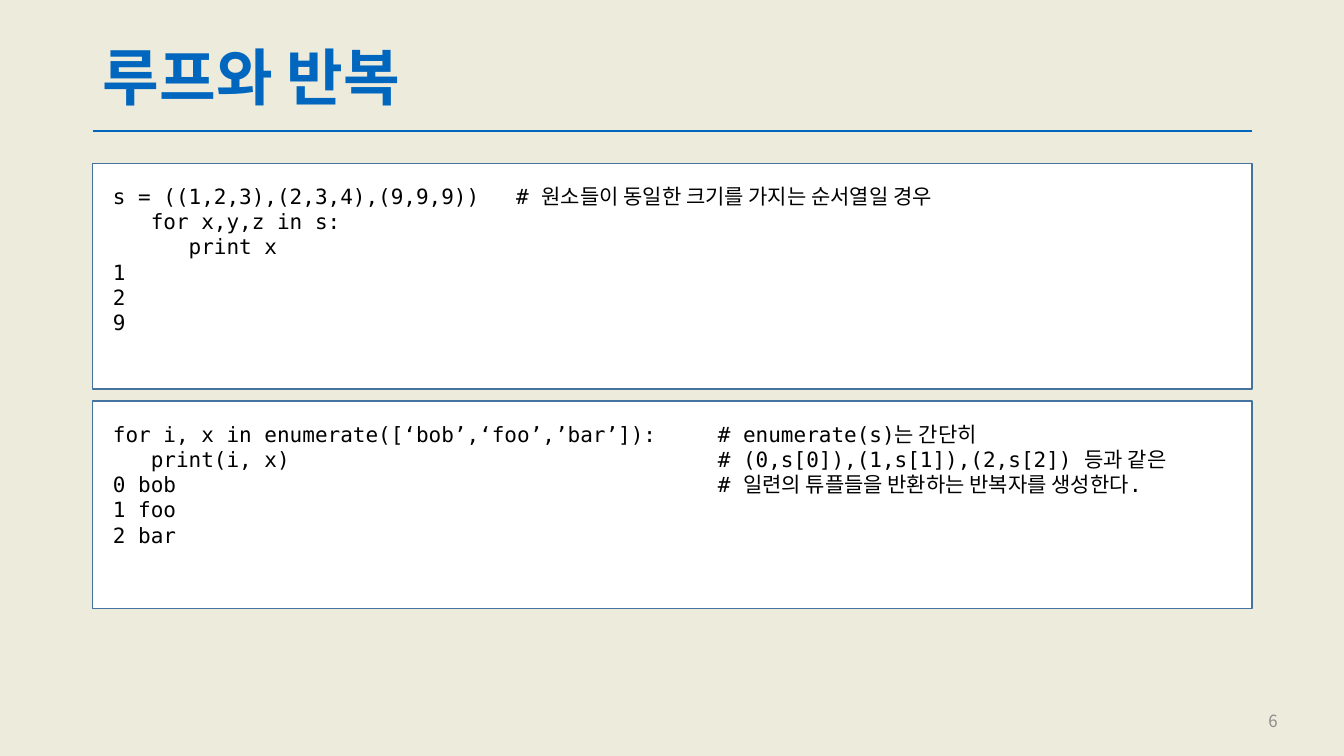
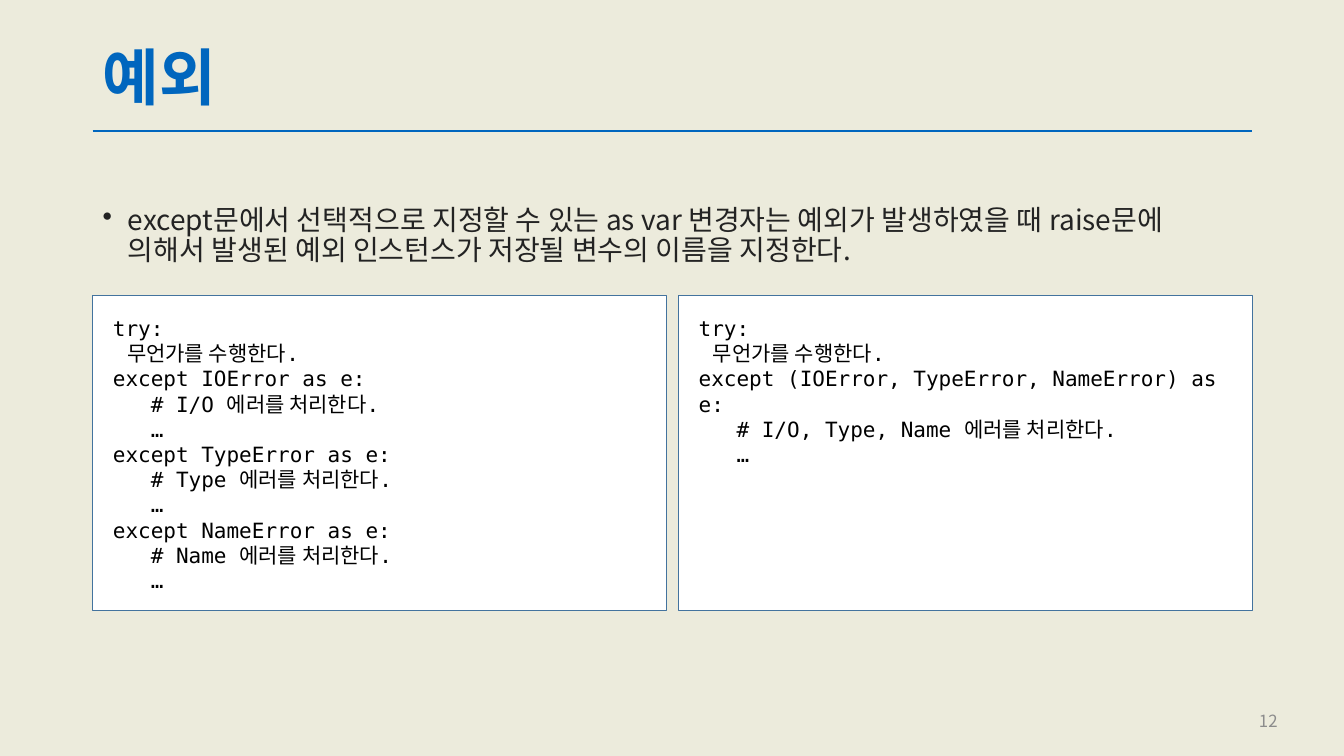
from dataclasses import dataclass

from lxml.etree import SubElement
from pptx import Presentation
from pptx.dml.color import RGBColor
from pptx.enum.shapes import MSO_CONNECTOR, MSO_SHAPE
from pptx.enum.text import MSO_ANCHOR, PP_ALIGN
from pptx.oxml.ns import qn
from pptx.presentation import Presentation as Deck
from pptx.slide import Slide
from pptx.text.text import _Paragraph as Para
from pptx.util import Inches, Pt


@dataclass(frozen=True)
class Style:
    size: int
    color: str
    font: str = "Noto Sans CJK KR"
    bold: bool = False


@dataclass(frozen=True)
class Theme:
    paper: str = "ECEBDC"
    panel: str = "FFFFFF"
    edge: str = "43739E"
    rule: str = "0066BE"
    asian: str = "Noto Sans CJK KR"
    title: Style = Style(44, "0066BE", bold=True)
    body: Style = Style(20, "232323")
    code: Style = Style(15, "000000", "DejaVu Sans Mono")
    number: Style = Style(12, "8C8C8C")
    pitch: float = 0.9


@dataclass(frozen=True)
class Box:
    left: float
    top: float
    width: float
    height: float


@dataclass(frozen=True)
class Panel:
    box: Box
    lines: tuple[str, ...]
    tab: float = 0


@dataclass(frozen=True)
class Page:
    title: str
    number: int
    panels: tuple[Panel, ...]
    bullet: str = ""


THEME = Theme()
LEFT, WIDTH, GAP = 0.92, 11.5, 0.12
HALF = (WIDTH - GAP) / 2
UPPER = Box(LEFT, 1.62, WIDTH, 2.24)
LOWER = Box(LEFT, UPPER.top + UPPER.height + GAP, WIDTH, 2.06)
FIRST = Box(LEFT, 2.93, HALF, 3.13)
SECOND = Box(LEFT + HALF + GAP, FIRST.top, HALF, FIRST.height)

PAGES = (
    Page("루프와 반복", 6, (
        Panel(UPPER, (
            "s = ((1,2,3),(2,3,4),(9,9,9))\t# 원소들이 동일한 크기를 가지는 순서열일 경우",
            "   for x,y,z in s:",
            "      print x",
            "1",
            "2",
            "9",
        ), tab=4),
        Panel(LOWER, (
            "for i, x in enumerate([‘bob’,‘foo’,’bar’]):\t# enumerate(s)는 간단히",
            "   print(i, x)\t# (0,s[0]),(1,s[1]),(2,s[2]) 등과 같은",
            "0 bob\t# 일련의 튜플들을 반환하는 반복자를 생성한다.",
            "1 foo",
            "2 bar",
        ), tab=6),
    )),
    Page("예외", 12, (
        Panel(FIRST, (
            "try:",
            "   무언가를 수행한다.",
            "except IOError as e:",
            "   # I/O 에러를 처리한다.",
            "   …",
            "except TypeError as e:",
            "   # Type 에러를 처리한다.",
            "   …",
            "except NameError as e:",
            "   # Name 에러를 처리한다.",
            "   …",
        )),
        Panel(SECOND, (
            "try:",
            "   무언가를 수행한다.",
            "except (IOError, TypeError, NameError) as e:",
            "   # I/O, Type, Name 에러를 처리한다.",
            "   …",
        )),
    ), bullet="except문에서 선택적으로 지정할 수 있는 as var 변경자는 예외가 발생하였을 때 "
              "raise문에 의해서 발생된 예외 인스턴스가 저장될 변수의 이름을 지정한다."),
)


def place(box: Box) -> tuple[Inches, ...]:
    return tuple(Inches(n) for n in (box.left, box.top, box.width, box.height))


def paint(para: Para, style: Style) -> None:
    font = para.font
    font.size = Pt(style.size)
    font.bold = style.bold
    font.name = style.font
    font.color.rgb = RGBColor.from_string(style.color)
    base = para._p.get_or_add_pPr().find(qn("a:defRPr"))
    SubElement(base, qn("a:ea"), typeface=THEME.asian)


def add_text(slide: Slide, box: Box, text: str, style: Style,
             anchor: MSO_ANCHOR = MSO_ANCHOR.MIDDLE, bullet: str = "") -> Para:
    frame = slide.shapes.add_textbox(*place(box)).text_frame
    frame.word_wrap = True
    frame.vertical_anchor = anchor
    para = frame.paragraphs[0]
    para.text = text
    if bullet:
        props = para._p.get_or_add_pPr()
        props.set("marL", str(Inches(0.25)))
        props.set("indent", str(Inches(-0.25)))
        SubElement(props, qn("a:buChar"), char=bullet)
    paint(para, style)
    return para


def add_rule(slide: Slide) -> None:
    high = Inches(1.3)
    line = slide.shapes.add_connector(
        MSO_CONNECTOR.STRAIGHT, Inches(LEFT), high, Inches(LEFT + WIDTH), high)
    line.line.color.rgb = RGBColor.from_string(THEME.rule)
    line.line.width = Pt(2)
    SubElement(line._element.spPr, qn("a:effectLst"))


def add_panel(slide: Slide, panel: Panel) -> None:
    shape = slide.shapes.add_shape(MSO_SHAPE.RECTANGLE, *place(panel.box))
    shape.shadow.inherit = False
    shape.fill.solid()
    shape.fill.fore_color.rgb = RGBColor.from_string(THEME.panel)
    shape.line.color.rgb = RGBColor.from_string(THEME.edge)
    shape.line.width = Pt(1)
    frame = shape.text_frame
    frame.word_wrap = True
    frame.vertical_anchor = MSO_ANCHOR.TOP
    frame.margin_left = frame.margin_right = Inches(0.2)
    frame.margin_top = frame.margin_bottom = Inches(0.2)
    frame.text = "\n".join(panel.lines)
    for para in frame.paragraphs:
        para.alignment = PP_ALIGN.LEFT
        if panel.tab:
            tabs = SubElement(para._p.get_or_add_pPr(), qn("a:tabLst"))
            SubElement(tabs, qn("a:tab"), pos=str(Inches(panel.tab)), algn="l")
        paint(para, THEME.code)


def add_page(deck: Deck, page: Page) -> None:
    slide = deck.slides.add_slide(deck.slide_layouts[6])
    fill = slide.background.fill
    fill.solid()
    fill.fore_color.rgb = RGBColor.from_string(THEME.paper)
    add_rule(slide)
    title = add_text(slide, Box(LEFT, 0.4, WIDTH, 0.8), page.title, THEME.title)
    title.line_spacing = THEME.pitch
    if page.bullet:
        body = add_text(slide, Box(LEFT, 2, WIDTH, 0.8), page.bullet, THEME.body,
                        MSO_ANCHOR.TOP, "•")
        body.line_spacing = THEME.pitch
    number = add_text(slide, Box(9.77, 6.95, 3, 0.4), str(page.number), THEME.number)
    number.alignment = PP_ALIGN.RIGHT
    for panel in page.panels:
        add_panel(slide, panel)


def main() -> None:
    deck = Presentation()
    deck.slide_width = Inches(13.33)
    deck.slide_height = Inches(7.5)
    for page in PAGES:
        add_page(deck, page)
    deck.save("out.pptx")


if __name__ == "__main__":
    main()
